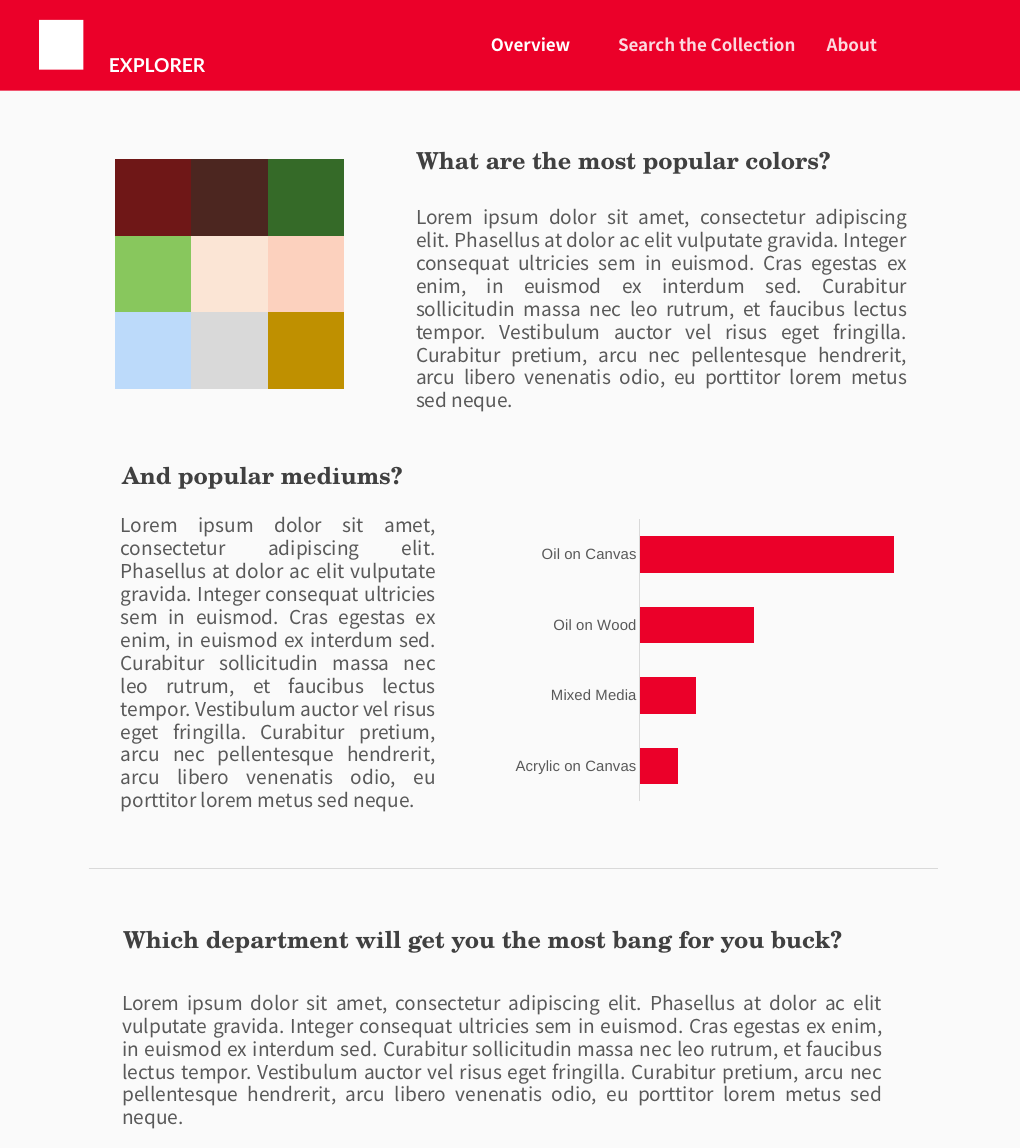
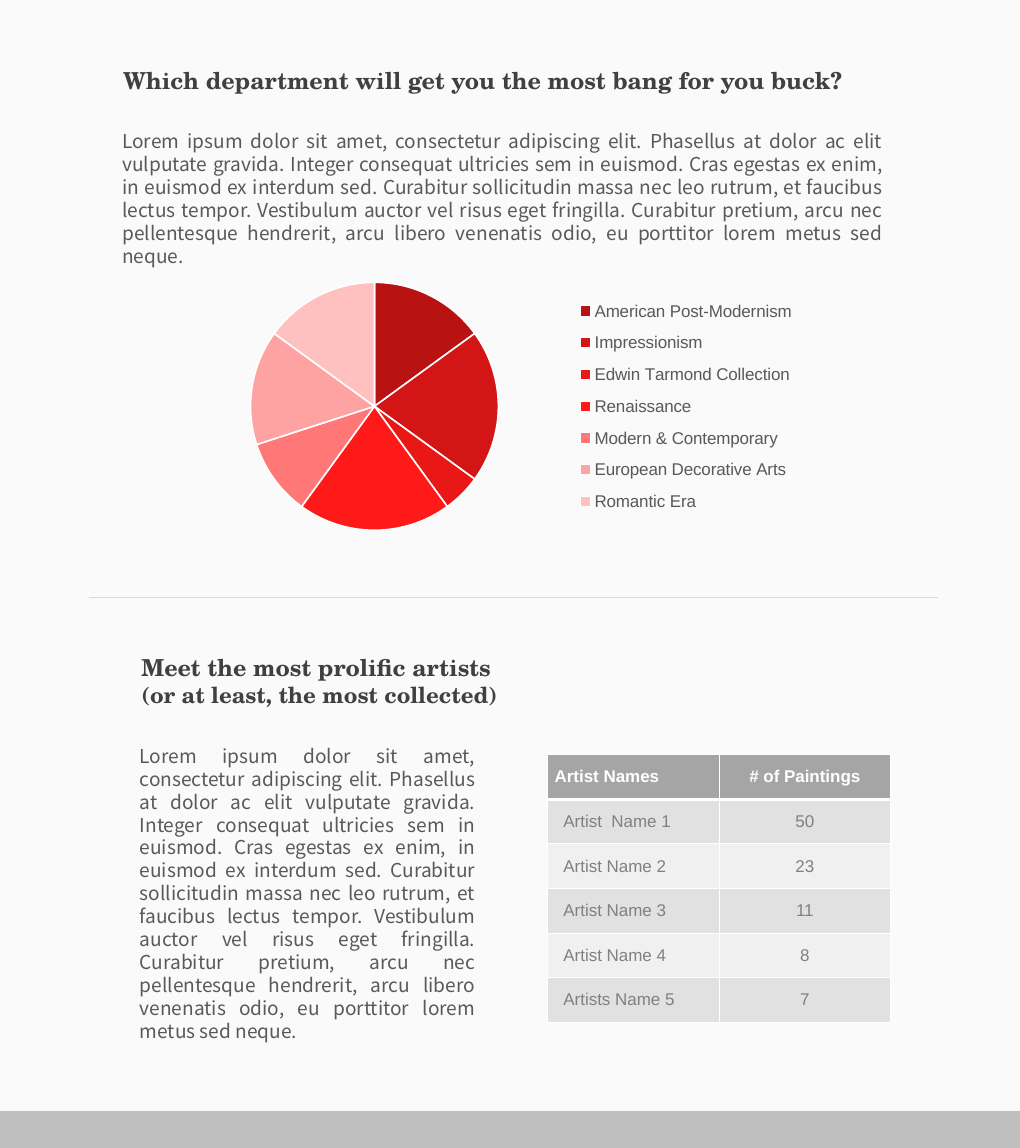
import pptx
import pptx.chart.data
import pptx.dml.color
import pptx.enum.chart
import pptx.enum.shapes
import pptx.enum.text
import pptx.oxml
import pptx.oxml.ns
import pptx.util

Pt = pptx.util.Pt
ALIGN = pptx.enum.text.PP_ALIGN
CHART = pptx.enum.chart

# Shared style
WIDTH, HEIGHT = 960, 1080
RED, WHITE, PAPER, RULE = "EB0029", "FFFFFF", "FAFAFA", "D9D9D9"
PALE, DARK, GREY, FOOTER = "FCD9DF", "404040", "595959", "BFBFBF"
SERIF, SANS, LABEL, LOGO = "TeX Gyre Schola", "Noto Sans CJK KR", "Arial", "Lato"
PLAIN_TABLE = "{2D5ABB26-0587-4C30-8999-92F81FD0307C}"

LOREM = (
    "Lorem ipsum dolor sit amet, consectetur adipiscing elit. Phasellus at dolor ac elit "
    "vulputate gravida. Integer consequat ultricies sem in euismod. Cras egestas ex enim, "
    "in euismod ex interdum sed. Curabitur sollicitudin massa nec leo rutrum, et faucibus "
    "lectus tempor. Vestibulum auctor vel risus eget fringilla. Curabitur pretium, arcu nec "
    "pellentesque hendrerit, arcu libero venenatis odio, eu porttitor lorem metus sed neque."
)
DEPARTMENT_TITLE = "Which department will get you the most bang for you buck?"

SWATCHES = [
    ["6F1717", "4C2620", "356A28"],
    ["88C75D", "FBE5D5", "FCD1BE"],
    ["BCDAFA", "D9D9D9", "BF9000"],
]
MEDIUMS = {"Acrylic on Canvas": 15, "Mixed Media": 22, "Oil on Wood": 45, "Oil on Canvas": 100}
DEPARTMENTS = {
    "American Post-Modernism": (15, "B81212"),
    "Impressionism": (20, "D31515"),
    "Edwin Tarmond Collection": (5, "EA1717"),
    "Renaissance": (20, "FF1919"),
    "Modern & Contemporary": (10, "FF7777"),
    "European Decorative Arts": (15, "FFA2A2"),
    "Romantic Era": (15, "FFC0C0"),
}
ARTISTS = [
    ("Artist Names", "# of Paintings"),
    ("Artist  Name 1", "50"),
    ("Artist Name 2", "23"),
    ("Artist Name 3", "11"),
    ("Artist Name 4", "8"),
    ("Artists Name 5", "7"),
]


def rgb(color):
    return pptx.dml.color.RGBColor.from_string(color)


def xml(text):
    return pptx.oxml.parse_xml(text)


def set_font(font, size, color, name, bold=False):
    font.size, font.name, font.bold = Pt(size), name, bold
    font.color.rgb = rgb(color)


def paint(fill, color):
    fill.solid()
    fill.fore_color.rgb = rgb(color)


def place(parent, index, x, y, w, h, inner=False):
    """Fix a chart part at fractions of the chart's size."""
    for old in parent.findall(pptx.oxml.ns.qn("c:layout")):
        parent.remove(old)
    settings = [("layoutTarget", "inner")] if inner else []
    settings += [("xMode", "edge"), ("yMode", "edge"), ("x", x), ("y", y), ("w", w), ("h", h)]
    parts = "".join(f'<c:{tag} val="{val}"/>' for tag, val in settings)
    parent.insert(index, xml(f'<c:layout {pptx.oxml.ns.nsdecls("c")}>'
                             f'<c:manualLayout>{parts}</c:manualLayout></c:layout>'))


class Page:
    def __init__(self, prs):
        self.prs = prs
        self.slide = None

    def new(self):
        self.slide = self.prs.slides.add_slide(self.prs.slide_layouts[6])
        paint(self.slide.background.fill, PAPER)

    def rect(self, x, y, w, h, color):
        sp = self.slide.shapes.add_shape(
            pptx.enum.shapes.MSO_SHAPE.RECTANGLE, Pt(x), Pt(y), Pt(w), Pt(h))
        sp.shadow.inherit = False
        paint(sp.fill, color)
        sp.line.fill.background()

    def text(self, x, y, w, h, lines, size, color, name, bold=True, align=ALIGN.LEFT,
             spacing=None):
        sp = self.slide.shapes.add_textbox(Pt(x), Pt(y), Pt(w), Pt(h))
        tf = sp.text_frame
        tf.word_wrap = True
        tf.text = lines
        for p in tf.paragraphs:
            p.alignment = align
            set_font(p.font, size, color, name, bold)
            if spacing:
                p.line_spacing = Pt(spacing)
        return tf

    def title(self, x, y, w, lines, h=34):
        return self.text(x, y, w, h, lines, 22, DARK, SERIF)

    def body(self, x, y, w, h):
        tf = self.text(x, y, w, h, LOREM, 18, GREY, SANS, False, ALIGN.JUSTIFY, 21.55)
        tf.margin_top = Pt(4)

    def nav(self, x, w, label, color):
        self.text(x, 28.4, w, 26.6, label, 16, color, SANS, spacing=19.4)

    def department(self, title_y, body_y):
        self.title(108.7, title_y, 759, DEPARTMENT_TITLE)
        self.body(108, body_y, 730, 117)

    def rule(self, y):
        ln = self.slide.shapes.add_connector(
            pptx.enum.shapes.MSO_CONNECTOR.STRAIGHT, Pt(83.5), Pt(y), Pt(882.7), Pt(y))
        ln.line.color.rgb = rgb(RULE)
        ln.line.width = Pt(0.5)
        ln._element.spPr.append(xml(f"<a:effectLst {pptx.oxml.ns.nsdecls('a')}/>"))

    def table(self, x, y, widths, heights):
        frame = self.slide.shapes.add_table(
            len(heights), len(widths), Pt(x), Pt(y), Pt(sum(widths)), Pt(sum(heights)))
        table = frame.table
        table.horz_banding = table.first_row = False
        table._tbl.tblPr.find(pptx.oxml.ns.qn("a:tableStyleId")).text = PLAIN_TABLE
        for col, width in zip(table.columns, widths):
            col.width = Pt(width)
        for row, height in zip(table.rows, heights):
            row.height = Pt(height)
        return table

    def cell_borders(self, cell, widths):
        """Draw white borders; widths follow left, right, top, bottom."""
        pr = cell._tc.get_or_add_tcPr()
        for i, (side, width) in enumerate(zip("LRTB", widths)):
            pr.insert(i, xml(
                f'<a:ln{side} {pptx.oxml.ns.nsdecls("a")} w="{Pt(width)}"><a:solidFill>'
                f'<a:srgbClr val="{WHITE}"/></a:solidFill></a:ln{side}>'))

    def swatches(self, x, y, colors, side):
        table = self.table(x, y, [side] * len(colors[0]), [side] * len(colors))
        for r, row in enumerate(colors):
            for c, color in enumerate(row):
                paint(table.cell(r, c).fill, color)

    def artists(self, x, y, rows):
        table = self.table(x, y, [162.5, 160.5], [42] * len(rows))
        for r, row in enumerate(rows):
            head = r == 0
            fill = "A5A5A5" if head else ("F0F0F0", "E1E1E1")[r % 2]
            for c, value in enumerate(row):
                cell = table.cell(r, c)
                cell.text = value
                cell.vertical_anchor = pptx.enum.text.MSO_ANCHOR.MIDDLE
                p = cell.text_frame.paragraphs[0]
                p.alignment = ALIGN.CENTER if c else ALIGN.LEFT
                set_font(p.font, 16, WHITE if head else "808080", LABEL, head)
                if c == 0 and not head:
                    cell.margin_left = Pt(15.5)
                paint(cell.fill, fill)
                self.cell_borders(cell, (1, 1, 1, 3 if head else 1))

    def chart(self, kind, x, y, w, h, names, values):
        data = pptx.chart.data.CategoryChartData()
        data.categories = names
        data.add_series("Series 1", values)
        chart = self.slide.shapes.add_chart(kind, Pt(x), Pt(y), Pt(w), Pt(h), data).chart
        chart.has_title = chart.has_legend = False
        set_font(chart.font, 14, GREY, LABEL)
        return chart

    def bars(self, x, y, w, h, data):
        chart = self.chart(CHART.XL_CHART_TYPE.BAR_CLUSTERED, x, y, w, h, list(data), data.values())
        plot = chart.plots[0]
        plot.gap_width, plot.vary_by_categories = 92, False
        paint(plot.series[0].format.fill, RED)
        cat, val = chart.category_axis, chart.value_axis
        cat.major_tick_mark = CHART.XL_TICK_MARK.NONE
        cat.format.line.color.rgb = rgb(RULE)
        cat.format.line.width = Pt(0.75)
        val.visible = val.has_major_gridlines = False
        val.minimum_scale, val.maximum_scale = 0, 109

    def pie(self, x, y, w, h, data):
        values, colors = zip(*data.values())
        chart = self.chart(CHART.XL_CHART_TYPE.PIE, x, y, w, h, list(data), values)
        for i, color in enumerate(colors):
            fmt = chart.plots[0].series[0].points[i].format
            paint(fmt.fill, color)
            fmt.line.color.rgb = rgb(WHITE)
            fmt.line.width = Pt(1.5)
        chart.has_legend = True
        legend = chart.legend
        legend.position = CHART.XL_LEGEND_POSITION.RIGHT
        legend.include_in_layout = False
        set_font(legend.font, 16, GREY, LABEL)
        place(chart._chartSpace.chart.plotArea, 0, 0.06, 0.03, 0.54, 0.81, inner=True)
        place(legend._element, 1, 0.64, 0.05, 0.36, 0.77)


def main():
    prs = pptx.Presentation()
    prs.slide_width, prs.slide_height = Pt(WIDTH), Pt(HEIGHT)
    page = Page(prs)

    # Slide 1: header and navigation
    page.new()
    page.rect(0, 0, WIDTH, 85.2, RED)
    page.text(95.5, 46.8, 250, 29, "EXPLORER", 18, WHITE, LOGO)
    page.rect(36.7, 18.7, 41.8, 46.8, WHITE)
    page.nav(455, 96.5, "Overview", WHITE)
    page.nav(574.6, 203, "Search the Collection", PALE)
    page.nav(771, 126, "About", PALE)

    # Popular colors
    page.title(384.5, 134, 476.6, "What are the most popular colors?")
    page.body(384.5, 189.4, 476.6, 181.4)
    page.swatches(108, 149.8, SWATCHES, 72)

    # Popular mediums
    page.title(108, 430, 371.5, "And popular mediums?")
    page.bars(477.4, 483, 393.8, 276.5, MEDIUMS)
    page.body(106.5, 479.5, 311, 269)

    # Departments
    page.department(867, 928.6)
    page.rule(817.2)

    # Slide 2: departments with chart
    page.new()
    page.rect(0, 1045.4, WIDTH, 34.6, FOOTER)
    page.department(58.3, 118.1)
    page.pie(154.8, 257, 599, 288, DEPARTMENTS)
    page.rule(562.3)

    # Prolific artists
    tf = page.title(126, 611.3, 389,
                    "Meet the most prolific artists\n(or at least, the most collected)", 59)
    tf.paragraphs[1].font.size = Pt(21)
    page.body(124.5, 696.2, 330, 269)
    page.artists(514.8, 710, ARTISTS)

    prs.save("out.pptx")


if __name__ == "__main__":
    main()
